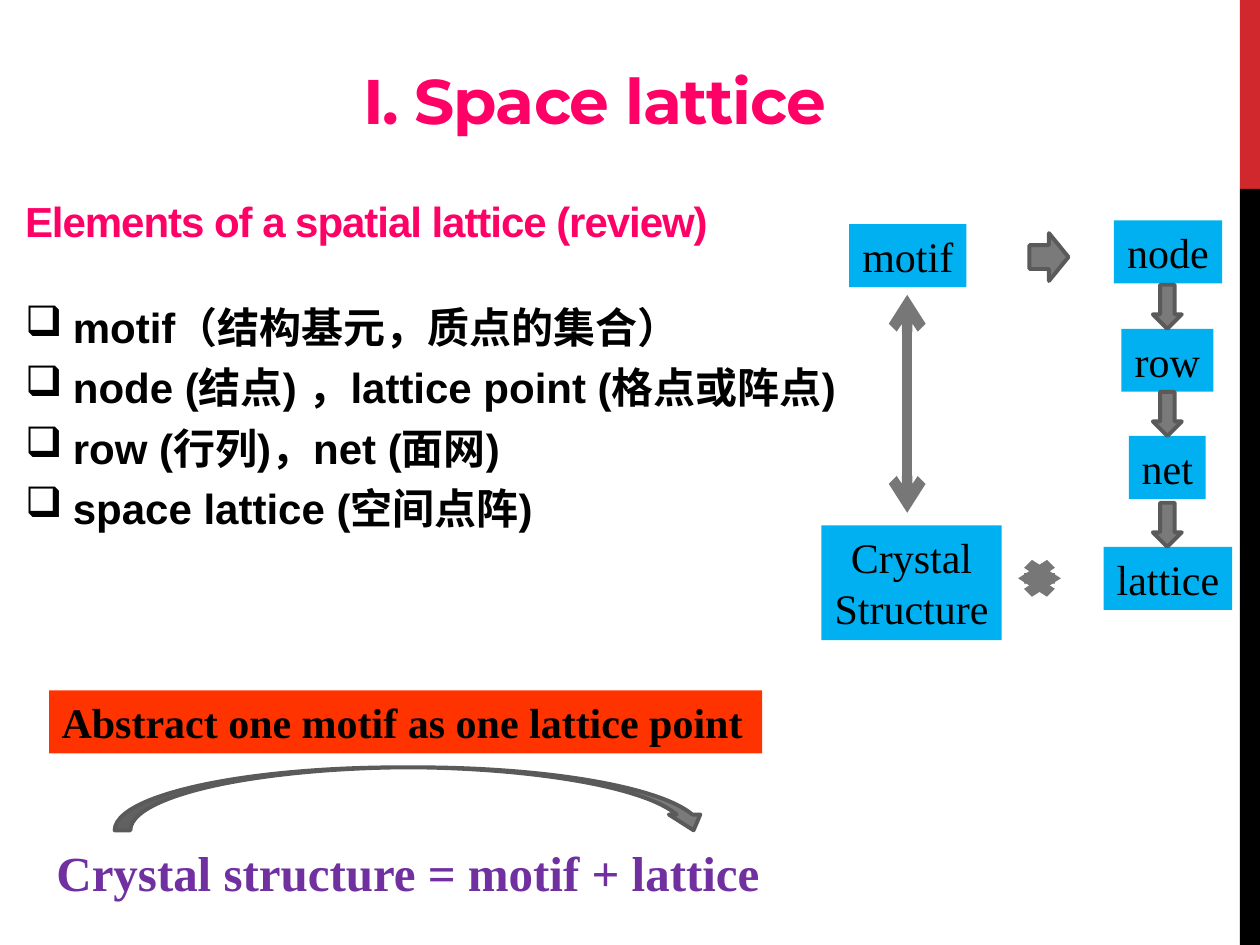
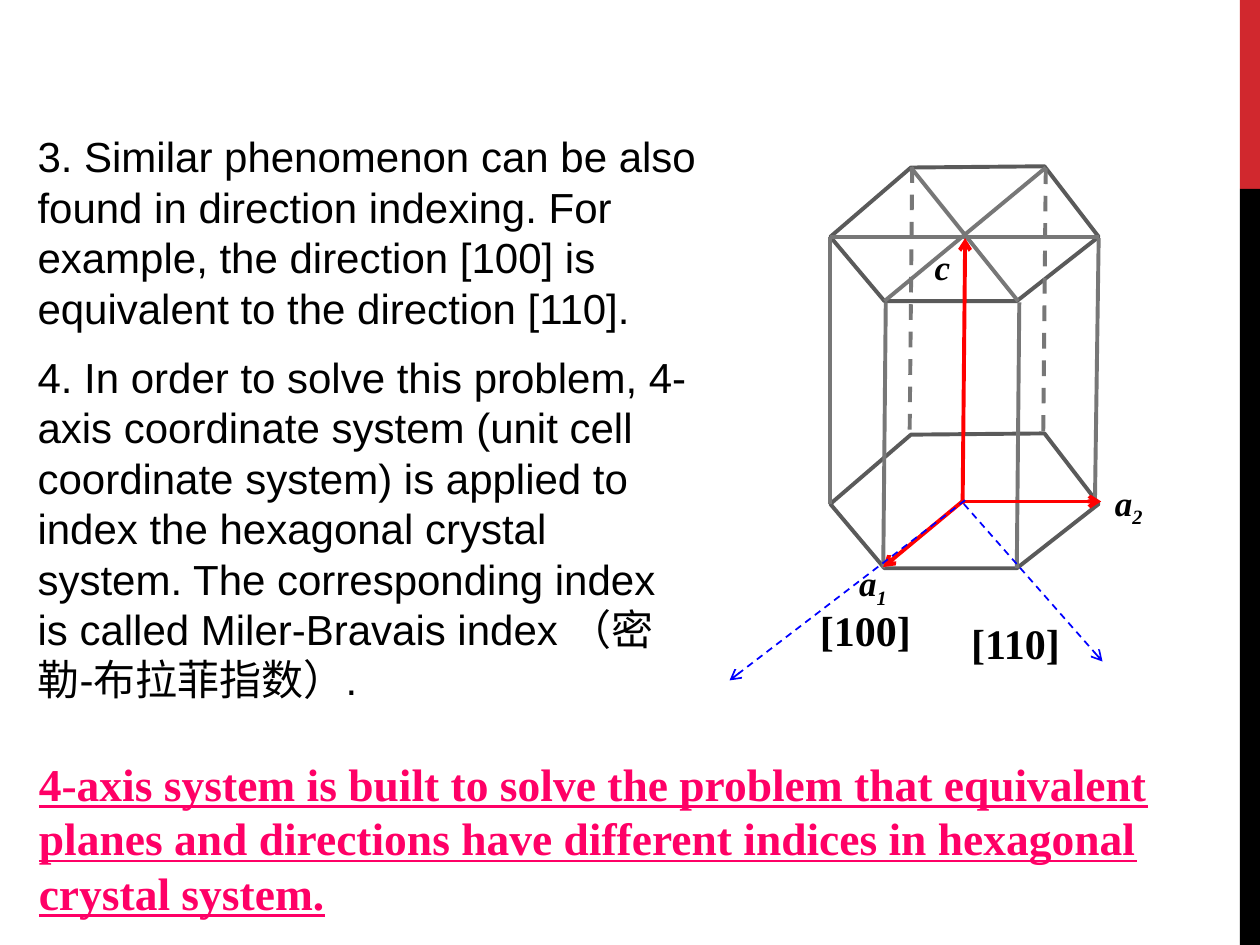
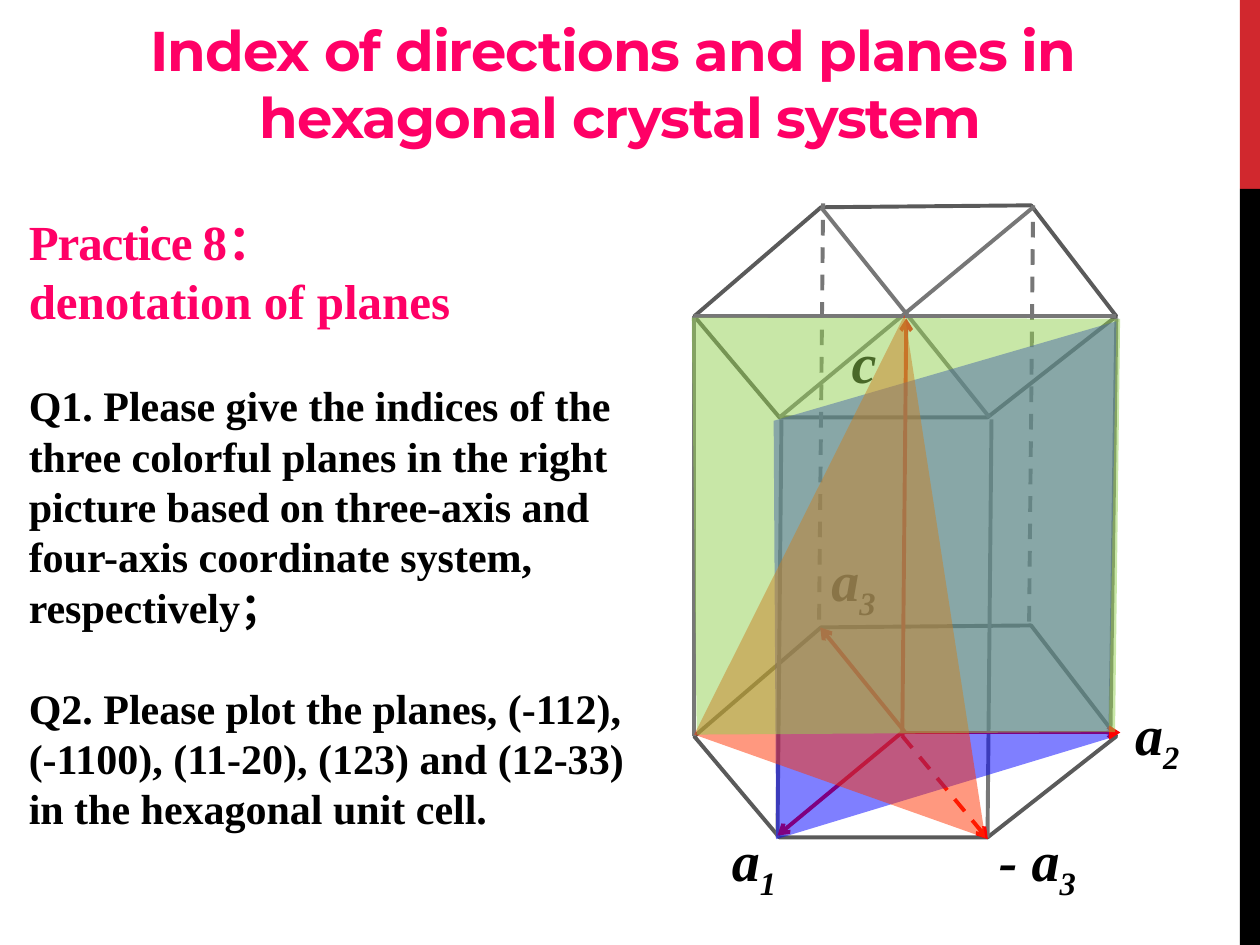
from dataclasses import dataclass

from lxml import etree
from pptx import Presentation
from pptx.dml.color import RGBColor
from pptx.enum.dml import MSO_LINE
from pptx.enum.shapes import MSO_CONNECTOR, MSO_SHAPE
from pptx.enum.text import MSO_ANCHOR, PP_ALIGN
from pptx.oxml.ns import qn
from pptx.util import Inches, Pt

RECTANGLE, CURVED_ARROW = MSO_SHAPE.RECTANGLE, MSO_SHAPE.CURVED_DOWN_ARROW
RIGHT_ARROW, DOWN_ARROW = MSO_SHAPE.RIGHT_ARROW, MSO_SHAPE.DOWN_ARROW
STRAIGHT, DASH = MSO_CONNECTOR.STRAIGHT, MSO_LINE.DASH
LEFT, CENTER = PP_ALIGN.LEFT, PP_ALIGN.CENTER
TOP, BOTTOM = MSO_ANCHOR.TOP, MSO_ANCHOR.BOTTOM


@dataclass(frozen=True)
class Theme:
    sans: str = "Arial"
    serif: str = "Times New Roman"
    display: str = "Montserrat"
    pink: str = "FF0066"
    black: str = "000000"
    band_red: str = "D1282E"
    purple: str = "7030A0"
    orange: str = "FF3300"
    sky: str = "00B0F0"
    green: str = "92D050"
    blue: str = "0000FF"
    red: str = "FF0000"
    gray: str = "7A7A7A"
    edge: str = "777777"
    outline: str = "5A5A5A"
    small_label: int = 20
    body: int = 24
    strong: int = 26
    heading: int = 28
    large_label: int = 32
    long_title: int = 32
    title: int = 36
    tight: float = -0.6
    stroke: float = 2.25


THEME = Theme()

# Content: lattice elements
ELEMENTS_TITLE = "I. Space lattice"
ELEMENTS_HEADING = "Elements of a spatial lattice (review)"
ELEMENTS = [
    "motif（结构基元，质点的集合）",
    "node (结点) ，lattice point (格点或阵点)",
    "row (行列)，net (面网)",
    "space lattice (空间点阵)",
]
ABSTRACTION = "Abstract one motif as one lattice point"
EQUATION = "Crystal structure = motif + lattice"
FLOW_BOXES = [  # lines, left, top, width, height
    (["motif"], 6.74, 1.78, 0.93, 0.5),
    (["node"], 8.84, 1.75, 0.86, 0.5),
    (["row"], 8.9, 2.61, 0.73, 0.5),
    (["net"], 8.96, 3.46, 0.61, 0.5),
    (["lattice"], 8.76, 4.34, 1.02, 0.5),
    (["Crystal", "Structure"], 6.52, 4.17, 1.43, 0.91),
]
DOWN_ARROW_TOPS = [2.26, 3.11, 3.99]
TWO_WAY_LINKS = [((7.2, 2.34), (7.2, 4.07)), ((8.08, 4.59), (8.42, 4.59))]

# Content: four-axis system
REASONS = [
    "3. Similar phenomenon can be also found in direction indexing. For example, "
    "the direction [100] is equivalent to the direction [110].",
    "4. In order to solve this problem, 4-axis coordinate system (unit cell coordinate "
    "system) is applied to index the hexagonal crystal system. The corresponding index "
    "is called Miler-Bravais index （密勒-布拉菲指数）.",
]
CONCLUSION = ("4-axis system is built to solve the problem that equivalent planes and "
              "directions have different indices in hexagonal crystal system.")
DIRECTIONS = [  # label, label place, start, end
    ("[100]", (6.41, 4.75), (7.66, 3.97), (5.79, 5.4)),
    ("[110]", (7.61, 4.85), (7.65, 4), (8.75, 5.25)),
]
SMALL_LABELS = [  # name, index, left, top, width
    ("a", "1", 6.72, 4.41, 0.46),
    ("a", "2", 8.75, 3.77, 0.46),
    ("c", "", 7.32, 1.9, 0.34),
]

# Content: practice
PRACTICE_TITLE = ["Index of directions and planes in ", "hexagonal crystal system"]
PRACTICE_HEADING = ["Practice 8：", "denotation of planes"]
QUESTIONS = [
    "Q1. Please give the indices of the three colorful planes in the right picture based "
    "on three-axis and four-axis coordinate system, respectively；",
    "Q2. Please plot the planes, (-112), (-1100), (11-20), (123) and (12-33) in the "
    "hexagonal unit cell.",
]
LARGE_LABELS = [
    ("a", "1", 5.71, 6.5, 0.62),
    ("a", "2", 8.91, 5.5, 0.62),
    ("c", "", 6.66, 2.55, 0.42),
    ("a", "3", 6.5, 4.28, 0.62),
    ("- a", "3", 7.83, 6.5, 0.9),
]
PLANES = [
    (THEME.blue, [(6.14, 3.34), (8.86, 2.55), (8.8, 5.86), (6.16, 6.66)]),
    (THEME.orange, [(7.18, 2.5), (5.51, 5.83), (7.82, 6.65)]),
    (THEME.green, [(5.49, 2.52), (8.89, 2.53), (8.85, 5.81), (5.53, 5.83)]),
]

# Hexagonal cell at its base width, measured from its top left corner
CELL_WIDTH, CELL_HEIGHT = 2.13, 2.12
HEXAGON = [(0.64, 0.01), (1.7, 0), (2.13, 0.56), (1.48, 1.07), (0.43, 1.07), (0, 0.56)]
CELL_EDGES = [
    ((0, 2.68), (0, 0.56)), ((0.42, 3.19), (0.44, 1.08)),
    ((1.48, 3.19), (1.5, 1.08)), ((2.1, 2.68), (2.13, 0.57)),
    ((0.64, 0.01), (1.49, 1.07)), ((0.43, 1.07), (1.71, 0.01)),
    ((0, 0.56), (2.13, 0.56)),
]
HIDDEN_EDGES = [((0.63, 2.09), (0.65, -0.01)), ((1.69, 2.1), (1.71, 0))]
CELL_AXES = [((1.06, 2.65), (0.42, 3.18)), ((1.06, 2.66), (2.15, 2.66)),
             ((1.05, 2.68), (1.07, 0.57))]


def rgb(color):
    return RGBColor.from_string(color)


def paint(shape, fill=None, line=None, alpha=None):
    """Set fill, outline and transparency, without a shadow."""
    shape.shadow.inherit = False
    if fill:
        shape.fill.solid()
        shape.fill.fore_color.rgb = rgb(fill)
    else:
        shape.fill.background()
    if alpha:
        color = shape.fill._xPr.find(qn("a:solidFill"))[0]
        etree.SubElement(color, qn("a:alpha"), val=str(alpha * 1000))
    if line:
        shape.line.color.rgb = rgb(line)
        shape.line.width = Pt(THEME.stroke)
    else:
        shape.line.fill.background()


def add_shape(page, kind, place, fill, line=None):
    shape = page.shapes.add_shape(kind, *map(Inches, place))
    paint(shape, fill, line)
    return shape


def add_span(para, text, font, size, color, bold=False, italic=False,
             underline=False, spacing=0, baseline=0):
    span = para.add_run()
    span.text = text
    span.font.name, span.font.size = font, Pt(size)
    span.font.color.rgb = rgb(color)
    span.font.bold, span.font.italic, span.font.underline = bold, italic, underline
    properties = span.font._element
    if spacing:
        properties.set("spc", str(round(spacing * 100)))
    if baseline:
        properties.set("baseline", str(baseline * 1000))


def add_para(box, text, align=LEFT, before=0, after=0, leading=None, bullet=None,
             subscript="", font=THEME.serif, size=THEME.body, color=THEME.black, **style):
    frame = box.text_frame
    first = frame.paragraphs[0]
    para = frame.add_paragraph() if first.runs else first
    if bullet:
        properties = para._p.get_or_add_pPr()
        indent = Inches(0.38)
        properties.set("marL", str(indent))
        properties.set("indent", str(-indent))
        etree.SubElement(properties, qn("a:buChar"), char=bullet)
    para.alignment = align
    para.space_before, para.space_after = Pt(before), Pt(after)
    if leading:
        para.line_spacing = leading
    add_span(para, text, font, size, color, **style)
    if subscript:
        add_span(para, subscript, font, size, color, baseline=-25, **style)


def add_box(page, place, wrap=True, anchor=TOP):
    box = page.shapes.add_textbox(*map(Inches, place))
    box.text_frame.word_wrap = wrap
    box.text_frame.vertical_anchor = anchor
    return box


def add_title(page, lines, place, size, anchor=TOP):
    box = add_box(page, place, anchor=anchor)
    for line in lines:
        add_para(box, line, align=CENTER, font=THEME.display, size=size,
                 color=THEME.pink, bold=True, spacing=THEME.tight)


def add_line(page, start, end, color, width=THEME.stroke, dash=False, ends=()):
    line = page.shapes.add_connector(STRAIGHT, *map(Inches, (*start, *end)))
    line.line.color.rgb = rgb(color)
    line.line.width = Pt(width)
    if dash:
        line.line.dash_style = DASH
    outline = line.line._get_or_add_ln()
    for end_name in ends:
        etree.SubElement(outline, qn(f"a:{end_name}"), type="arrow")
    etree.SubElement(line._element.spPr, qn("a:effectLst"))


def add_outline(page, points, **look):
    start, *others = [tuple(map(Inches, point)) for point in points]
    builder = page.shapes.build_freeform(*start)
    builder.add_line_segments(others, close=True)
    paint(builder.convert_to_shape(), **look)


def add_cell(page, left, top, width=CELL_WIDTH):
    """Draw the hexagonal prism with its three axes."""
    scale = width / CELL_WIDTH

    def at(point):
        return left + point[0] * scale, top + point[1] * scale

    for drop in (CELL_HEIGHT, 0):
        add_outline(page, [at((x, y + drop)) for x, y in HEXAGON], line=THEME.outline)
    for start, end in CELL_EDGES:
        add_line(page, at(start), at(end), THEME.edge)
    for start, end in HIDDEN_EDGES:
        add_line(page, at(start), at(end), THEME.edge, dash=True)
    for start, end in CELL_AXES:
        add_line(page, at(start), at(end), THEME.red, ends=["tailEnd"])


def add_axis_labels(page, labels, size, height):
    for name, index, left, top, width in labels:
        box = add_box(page, (left, top, width, height), wrap=False)
        add_para(box, name, subscript=index, size=size, bold=True, italic=True)


def add_page(deck):
    page = deck.slides.add_slide(deck.slide_layouts[6])
    add_shape(page, RECTANGLE, (9.84, 0, 0.16, 1.5), THEME.band_red)
    add_shape(page, RECTANGLE, (9.84, 1.5, 0.16, 6), THEME.black)
    return page


def build_elements(deck):
    page = add_page(deck)
    box = add_box(page, (0.1, 1.42, 9.61, 5.95))
    add_para(box, ELEMENTS_HEADING, leading=1.2, font=THEME.sans, color=THEME.pink,
             bold=True, spacing=THEME.tight)
    for number, element in enumerate(ELEMENTS):
        add_para(box, element, leading=1.2, before=0 if number else 26, bullet="❑",
                 font=THEME.sans, bold=True)
    add_title(page, [ELEMENTS_TITLE], (0.35, 0.44, 8.74, 0.71), THEME.title)

    # Abstraction and equation
    box = add_box(page, (0.35, 6.64, 5.84, 0.57), wrap=False)
    add_para(box, EQUATION, size=THEME.heading, color=THEME.purple, bold=True)
    box = add_box(page, (0.39, 5.48, 5.66, 0.5), wrap=False)
    paint(box, THEME.orange)
    add_para(box, ABSTRACTION, bold=True)
    add_shape(page, CURVED_ARROW, (0.91, 6.09, 4.72, 0.5), THEME.gray, THEME.outline)

    # Flow from motif to crystal structure
    for lines, *place in FLOW_BOXES:
        box = add_box(page, place, wrap=False)
        paint(box, THEME.sky)
        for line in lines:
            add_para(box, line, align=CENTER)
    add_shape(page, RIGHT_ARROW, (8.17, 1.85, 0.31, 0.38), THEME.gray, THEME.outline)
    for top in DOWN_ARROW_TOPS:
        add_shape(page, DOWN_ARROW, (9.15, top, 0.23, 0.35), THEME.gray, THEME.outline)
    for start, end in TWO_WAY_LINKS:
        add_line(page, start, end, THEME.edge, width=6, ends=["headEnd", "tailEnd"])


def build_four_axis(deck):
    page = add_page(deck)
    box = add_box(page, (0.2, 0.99, 5.43, 4.78))
    for number, reason in enumerate(REASONS):
        add_para(box, reason, before=4.8 if number else 0, after=6, font=THEME.sans)
    add_cell(page, 6.59, 1.32)
    add_axis_labels(page, SMALL_LABELS, THEME.small_label, 0.44)
    for label, place, start, end in DIRECTIONS:
        box = add_box(page, (*place, 0.93, 0.5), wrap=False)
        add_para(box, label, bold=True)
        add_line(page, start, end, THEME.blue, width=1, dash=True, ends=["tailEnd"])
    box = add_box(page, (0.21, 5.95, 9.89, 1.41))
    add_para(box, CONCLUSION, size=THEME.strong, color=THEME.pink, bold=True,
             underline=True)


def build_practice(deck):
    page = add_page(deck)
    add_title(page, PRACTICE_TITLE, (0.12, 0, 9.61, 1.24), THEME.long_title, anchor=BOTTOM)
    box = add_box(page, (0.13, 1.63, 5.19, 5.8))
    for line, spacing in zip(PRACTICE_HEADING, (THEME.tight, 0)):
        add_para(box, line, size=THEME.heading, color=THEME.pink, bold=True,
                 spacing=spacing)
    for question in QUESTIONS:
        add_para(box, question, before=28.8, bold=True)

    # Unit cell with the third axis, then the planes over it
    add_cell(page, 5.51, 1.63, width=3.35)
    add_line(page, (7.19, 5.82), (6.51, 4.98), THEME.red, ends=["tailEnd"])
    add_line(page, (7.16, 5.84), (7.84, 6.66), THEME.red, dash=True, ends=["tailEnd"])
    add_axis_labels(page, LARGE_LABELS, THEME.large_label, 0.64)
    for color, corners in PLANES:
        add_outline(page, corners, fill=color, alpha=50)


def main():
    deck = Presentation()
    deck.slide_width, deck.slide_height = Inches(10), Inches(7.5)
    build_elements(deck)
    build_four_axis(deck)
    build_practice(deck)
    deck.save("out.pptx")


if __name__ == "__main__":
    main()
